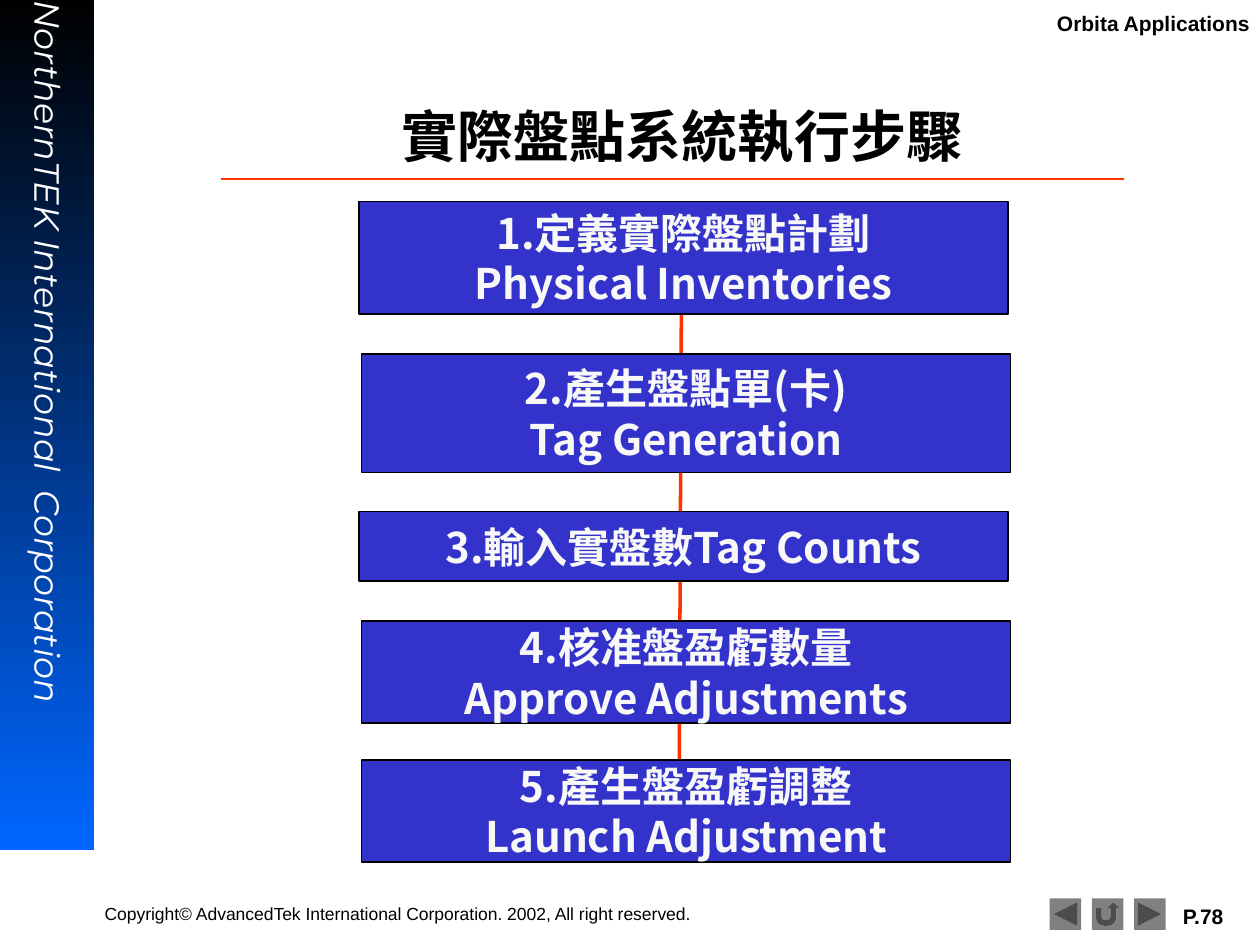
"""Build the slide of the five steps of a physical inventory count."""
from dataclasses import dataclass

import lxml.etree
import pptx
import pptx.dml.color
import pptx.enum.shapes
import pptx.enum.text
import pptx.oxml.ns
import pptx.util

ALIGN = pptx.enum.text.PP_ALIGN
ANCHOR = pptx.enum.text.MSO_ANCHOR
SHAPE = pptx.enum.shapes.MSO_SHAPE
COLUMNS, ROWS = 100, 75


@dataclass(frozen=True)
class Theme:
    ink: str = "000000"
    accent: str = "FF3300"
    step_fill: str = "3333CC"
    step_text: str = "F8F8F8"
    button: str = "808080"
    band_end: str = "0066FF"
    band_text: str = "FFFFFF"
    body_font: str = "Arial"
    band_font: str = "Montserrat"
    cjk_font: str = "Noto Sans CJK SC"
    title_size: int = 32
    step_size: int = 24
    band_size: int = 20
    label_size: int = 12
    copyright_size: int = 10


@dataclass(frozen=True)
class Area:
    column: float
    row: float
    columns: float
    rows: float


@dataclass(frozen=True)
class Step:
    lines: tuple[str, ...]
    column: float
    row: float
    rows: float
    hanging: float = 0


THEME = Theme()
STEP_COLUMNS = 51.5
STEPS = (
    Step(("1.定義實際盤點計劃", "Physical Inventories"), 28.5, 16, 8.9, 5),
    Step(("2.產生盤點單(卡)", "Tag Generation"), 28.7, 28.1, 9.4),
    Step(("3.輸入實盤數Tag Counts",), 28.5, 40.6, 5.5),
    Step(("4.核准盤盈虧數量", "Approve Adjustments"), 28.7, 49.3, 8.1),
    Step(("5.產生盤盈虧調整", "Launch Adjustment"), 28.7, 60.3, 8.1),
)
BUTTONS = (SHAPE.ACTION_BUTTON_BACK_OR_PREVIOUS, SHAPE.ACTION_BUTTON_RETURN,
           SHAPE.ACTION_BUTTON_FORWARD_OR_NEXT)

deck = pptx.Presentation()
deck.slide_width, deck.slide_height = pptx.util.Inches(10), pptx.util.Inches(7.5)
slide = deck.slides.add_slide(deck.slide_layouts[5])


def across(columns: float) -> int:
    return round(deck.slide_width * columns / COLUMNS)


def down(rows: float) -> int:
    return round(deck.slide_height * rows / ROWS)


def bounds(area: Area) -> tuple[int, int, int, int]:
    return across(area.column), down(area.row), across(area.columns), down(area.rows)


def rgb(value: str) -> pptx.dml.color.RGBColor:
    return pptx.dml.color.RGBColor.from_string(value)


def write(holder, *lines: str, size: float, font: str = THEME.body_font,
          color: str = THEME.ink, bold: bool = False, italic: bool = False,
          align=ALIGN.LEFT, anchor=ANCHOR.TOP, wrap: bool = True,
          inset: tuple[float, float] = (0, 0), hanging: float = 0) -> None:
    frame = holder.text_frame
    frame.word_wrap, frame.vertical_anchor = wrap, anchor
    frame.margin_left = frame.margin_right = across(inset[0])
    frame.margin_top = frame.margin_bottom = down(inset[1])
    for index, line in enumerate(lines):
        paragraph = frame.add_paragraph() if index else frame.paragraphs[0]
        paragraph.alignment = align
        if hanging:
            properties = paragraph._p.get_or_add_pPr()
            properties.set("marL", str(across(hanging)))
            properties.set("indent", str(-across(hanging)))
        run = paragraph.add_run()
        run.text = line
        run.font.name, run.font.size = font, pptx.util.Pt(size)
        run.font.bold, run.font.italic = bold, italic
        run.font.color.rgb = rgb(color)
        east_asian = lxml.etree.SubElement(run.font._element, pptx.oxml.ns.qn("a:ea"))
        east_asian.set("typeface", font)


def add_label(area: Area, text: str, **style):
    label = slide.shapes.add_textbox(*bounds(area))
    write(label, text, **style)
    return label


def add_block(kind, area: Area, fill: str, outline: str = ""):
    block = slide.shapes.add_shape(kind, *bounds(area))
    block.shadow.inherit = False
    block.fill.solid()
    block.fill.fore_color.rgb = rgb(fill)
    if outline:
        block.line.color.rgb = rgb(outline)
        block.line.width = pptx.util.Pt(1)
    else:
        block.line.fill.background()
    return block


def add_rule(start: tuple[float, float], end: tuple[float, float], width: float) -> None:
    rule = slide.shapes.add_connector(
        pptx.enum.shapes.MSO_CONNECTOR.STRAIGHT,
        across(start[0]), down(start[1]), across(end[0]), down(end[1]))
    rule.line.color.rgb = rgb(THEME.accent)
    rule.line.width = pptx.util.Pt(width)
    lxml.etree.SubElement(rule._element.spPr, pptx.oxml.ns.qn("a:effectLst"))


def add_band() -> None:
    band = add_block(SHAPE.RECTANGLE, Area(0, 0, 7.5, 67.5), THEME.ink)
    band.fill.gradient()
    band.fill.gradient_angle = 270
    for stop, color in zip(band.fill.gradient_stops, (THEME.ink, THEME.band_end)):
        stop.color.rgb = rgb(color)
    company = add_label(Area(0.7, 0, 5.3, 67.5), "NorthernTEK International  Corporation",
                        size=THEME.band_size, font=THEME.band_font,
                        color=THEME.band_text, italic=True, inset=(1, 0))
    company.text_frame._txBody.bodyPr.set("vert", "eaVert")


def add_step(step: Step) -> None:
    block = add_block(SHAPE.RECTANGLE, Area(step.column, step.row, STEP_COLUMNS, step.rows),
                      THEME.step_fill, THEME.ink)
    write(block, *step.lines, size=THEME.step_size, font=THEME.cjk_font,
          color=THEME.step_text, bold=True, align=ALIGN.CENTER, anchor=ANCHOR.MIDDLE,
          wrap=False, inset=(1.1, 0.5), hanging=step.hanging)


def main() -> None:
    title = slide.shapes.title
    title.left, title.top, title.width, title.height = bounds(Area(13.3, 7.5, 81.7, 6.4))
    write(title, "實際盤點系統執行步驟", size=THEME.title_size, font=THEME.cjk_font,
          bold=True, align=ALIGN.CENTER, anchor=ANCHOR.MIDDLE, inset=(1, 0.5))
    add_rule((17.5, 14.2), (89.2, 14.2), 1.5)
    add_band()
    for index, kind in enumerate(BUTTONS):
        add_block(kind, Area(83.3 + index * 3.35, 71.3, 2.5, 2.5), THEME.button)
    corner = dict(size=THEME.label_size, bold=True, align=ALIGN.RIGHT, wrap=False)
    add_label(Area(83.5, 0.8, 15.7, 2), "Orbita Applications", **corner)
    add_label(Area(92.6, 71.7, 4.5, 2), "P.78", **corner)
    add_label(Area(8.3, 71.7, 49.2, 1.7),
              "Copyright© AdvancedTek International Corporation. 2002, All right reserved.",
              size=THEME.copyright_size)
    add_rule((53.9, 64.3), (54.1, 19.3), 2)
    for step in STEPS:
        add_step(step)
    deck.save("out.pptx")


if __name__ == "__main__":
    main()
